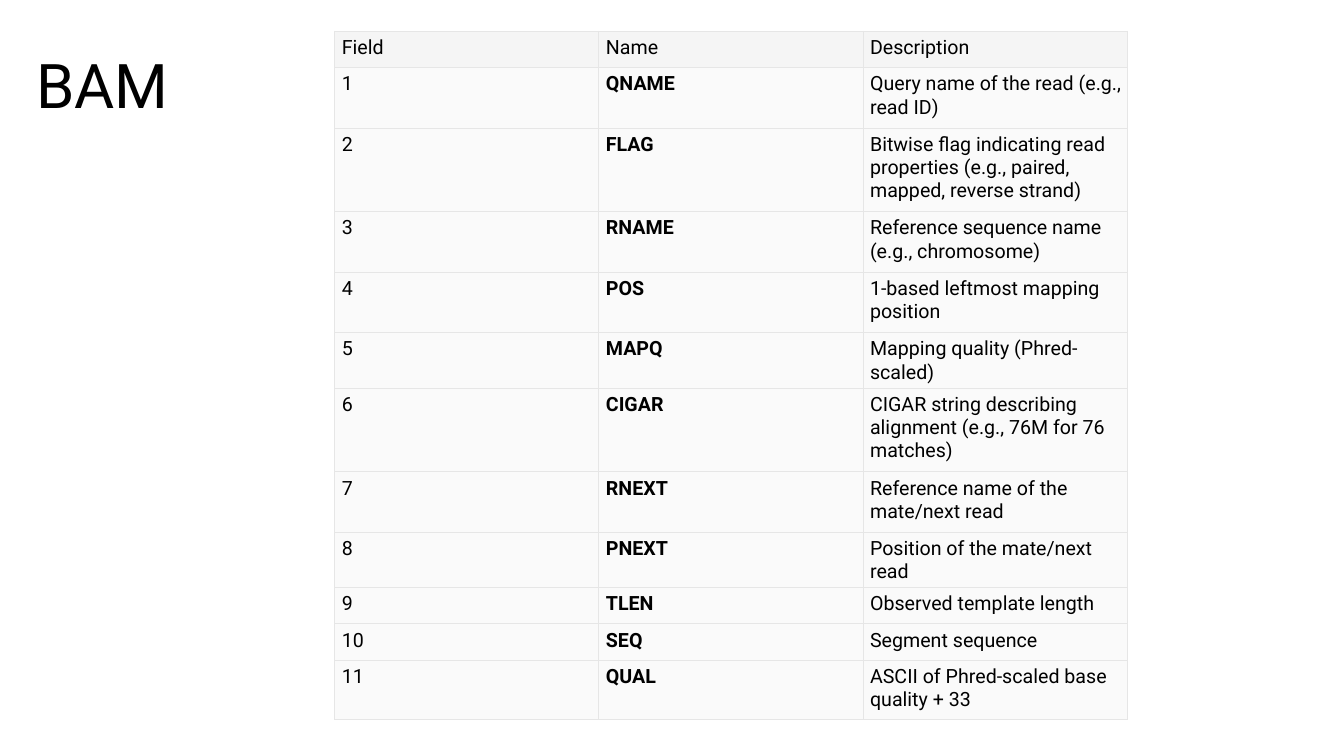
import pptx
import pptx.dml.color
import pptx.enum.text
import pptx.oxml
import pptx.oxml.ns
import pptx.util
from pptx.util import Inches

FONT = "Roboto"
FIELDS = [
    ("QNAME", "Query name of the read (e.g., read ID)", 0.6),
    ("FLAG", "Bitwise flag indicating read properties (e.g., paired, mapped, reverse strand)", 0.83),
    ("RNAME", "Reference sequence name (e.g., chromosome)", 0.6),
    ("POS", "1-based leftmost mapping position", 0.6),
    ("MAPQ", "Mapping quality (Phred-scaled)", 0.36),
    ("CIGAR", "CIGAR string describing alignment (e.g., 76M for 76 matches)", 0.83),
    ("RNEXT", "Reference name of the mate/next read", 0.6),
    ("PNEXT", "Position of the mate/next read", 0.6 - 0.24),
    ("TLEN", "Observed template length", 0.36),
    ("SEQ", "Segment sequence", 0.36),
    ("QUAL", "ASCII of Phred-scaled base quality + 33", 0.59),
]
FIELDS[4] = FIELDS[4][:2] + (0.36,)


def color(value):
    return pptx.dml.color.RGBColor.from_string(value)


def add_borders(cell, value, width):
    properties = cell._tc.get_or_add_tcPr()
    for side in ("lnL", "lnR", "lnT", "lnB"):
        properties.append(pptx.oxml.parse_xml(
            f'<a:{side} {pptx.oxml.ns.nsdecls("a")} w="{width}"><a:solidFill>'
            f'<a:srgbClr val="{value}"/></a:solidFill></a:{side}>'))


presentation = pptx.Presentation()
presentation.slide_width = Inches(13.33)
presentation.slide_height = Inches(7.5)
slide = presentation.slides.add_slide(presentation.slide_layouts[5])

title = slide.shapes.title
title.left, title.top = Inches(0.26), Inches(0.15)
title.width, title.height = Inches(11.5), Inches(1.45)
title.text_frame.text = "BAM"
title.text_frame.vertical_anchor = pptx.enum.text.MSO_ANCHOR.MIDDLE
paragraph = title.text_frame.paragraphs[0]
paragraph.alignment = pptx.enum.text.PP_ALIGN.LEFT
paragraph.line_spacing = 0.9
paragraph.font.name = FONT
paragraph.font.size = pptx.util.Pt(44)
paragraph.font.color.rgb = color("000000")

rows = [("Field", "Name", "Description", 0.36)]
rows += [(str(number), *field) for number, field in enumerate(FIELDS, 1)]
table = slide.shapes.add_table(
    len(rows), 3, Inches(3.32), Inches(0.31), Inches(7.86), Inches(6.84)).table
table.horz_banding = False
for column in table.columns:
    column.width = Inches(2.62)

for row_index, (*texts, height) in enumerate(rows):
    table.rows[row_index].height = Inches(height)
    for column_index, text in enumerate(texts):
        cell = table.cell(row_index, column_index)
        cell.margin_left, cell.margin_right = Inches(0.07), Inches(0.05)
        cell.margin_top, cell.margin_bottom = Inches(0.05), Inches(0.04)
        add_borders(cell, "E6E6E6", pptx.util.Pt(0.75))
        cell.fill.solid()
        cell.fill.fore_color.rgb = color("FAFAFA" if row_index else "F5F5F5")
        cell.text = text
        paragraph = cell.text_frame.paragraphs[0]
        paragraph.font.name = FONT
        paragraph.font.size = pptx.util.Pt(14)
        paragraph.font.bold = row_index > 0 and column_index == 1
        paragraph.font.color.rgb = color("000000")

presentation.save("out.pptx")
